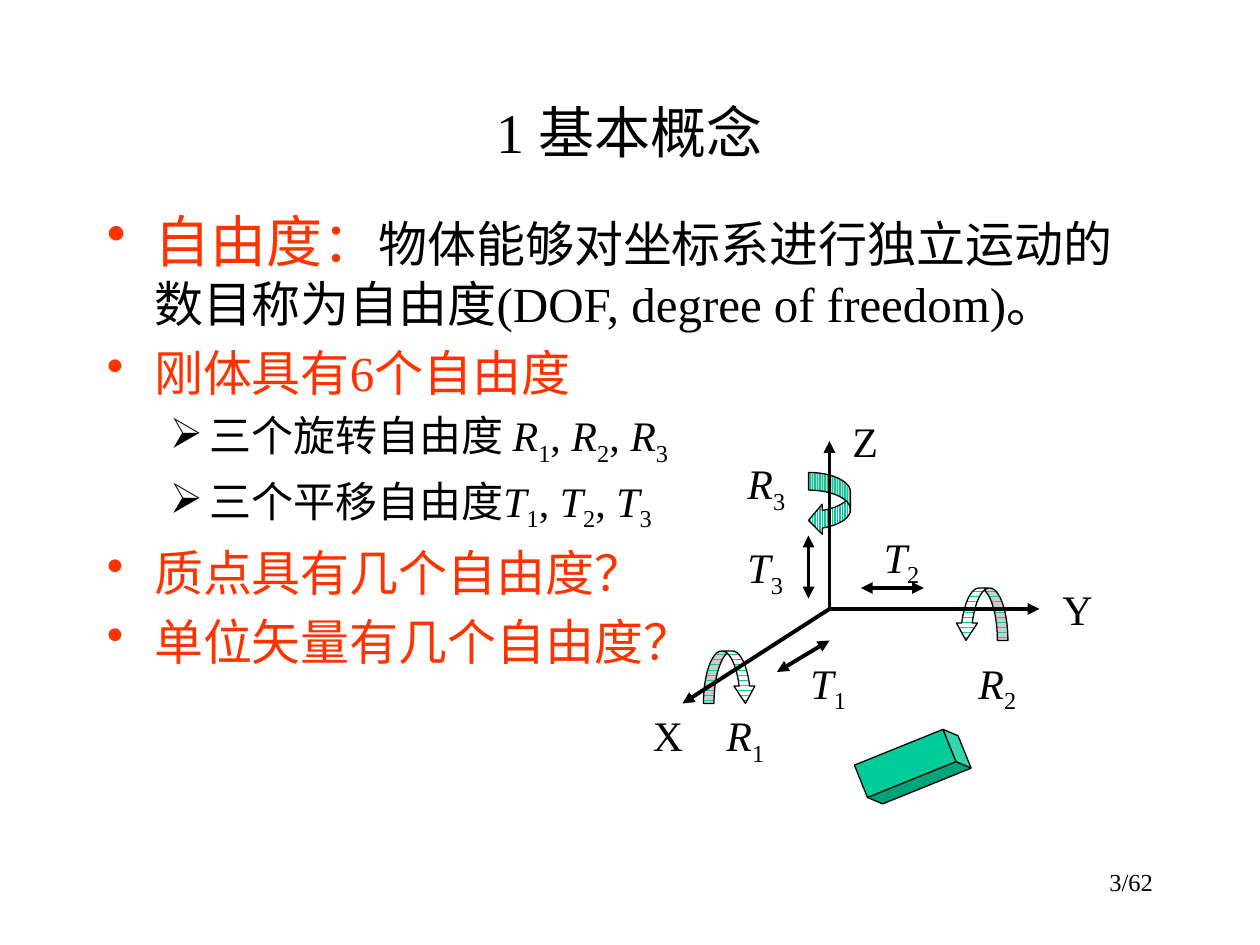
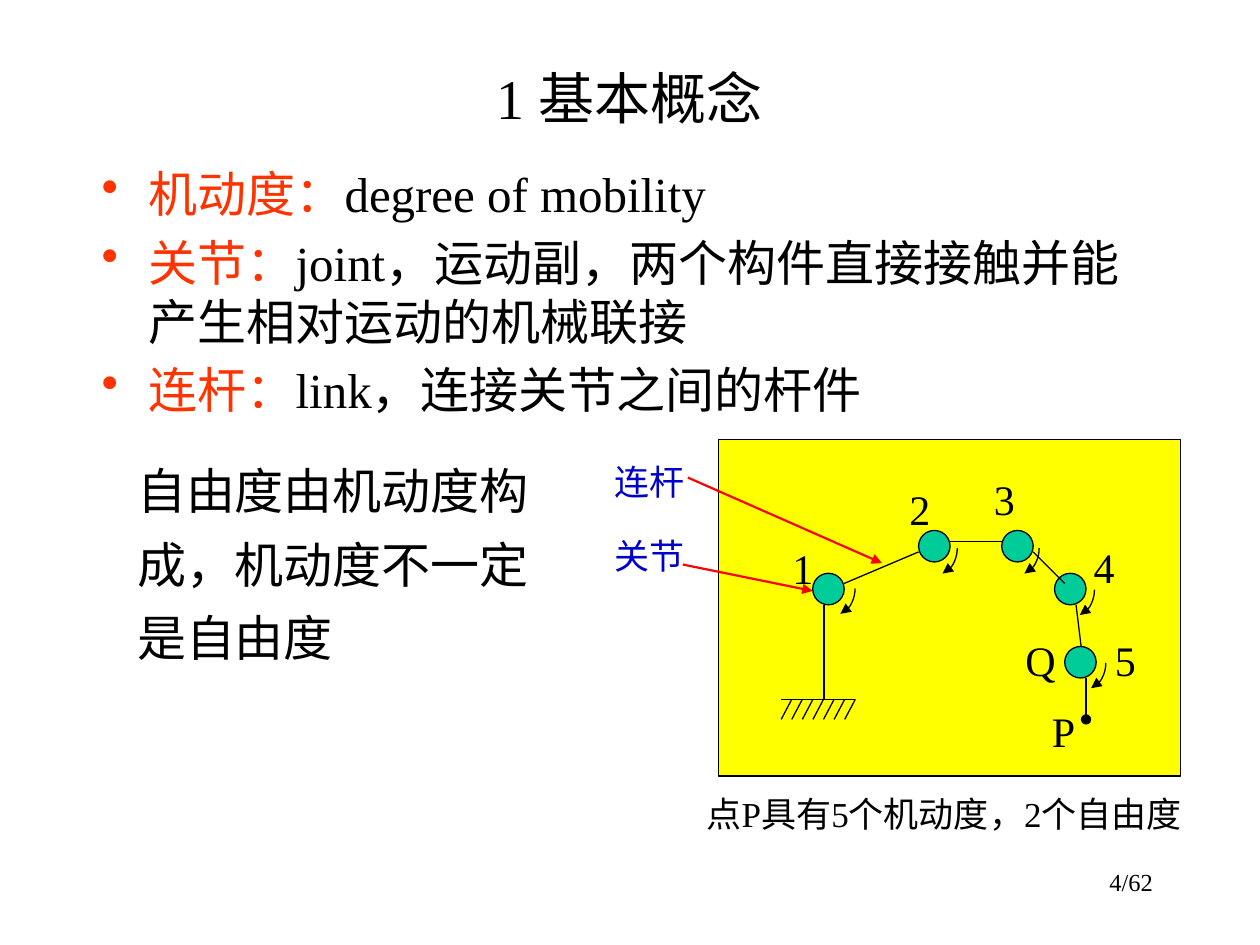
from pptx import Presentation
from pptx.dml.color import RGBColor
from pptx.enum.dml import MSO_PATTERN
from pptx.enum.shapes import MSO_CONNECTOR, MSO_SHAPE
from pptx.enum.text import MSO_ANCHOR, PP_ALIGN
from pptx.oxml.ns import qn
from pptx.util import Pt
from lxml import etree

FONT = "Times New Roman"
BLACK, WHITE, RED, BLUE = "000000", "FFFFFF", "FF3300", "0000CC"
GREEN, YELLOW, ARROW = "00CC99", "FFFF00", "FF0000"
LEFT, MID, RIGHT = PP_ALIGN.LEFT, PP_ALIGN.CENTER, PP_ALIGN.RIGHT
TOP, CENTER = MSO_ANCHOR.TOP, MSO_ANCHOR.MIDDLE
STRAIGHT = MSO_CONNECTOR.STRAIGHT
RECT, OVAL, ARC, CUBE = (MSO_SHAPE.RECTANGLE, MSO_SHAPE.OVAL,
                         MSO_SHAPE.ARC, MSO_SHAPE.CUBE)
TURN, BEND = MSO_SHAPE.CURVED_LEFT_ARROW, MSO_SHAPE.CURVED_DOWN_ARROW
VERT, HORZ = MSO_PATTERN.LIGHT_VERTICAL, MSO_PATTERN.DARK_HORIZONTAL
BULLETS = [("•", 27, -27), ("➢", 58.5, -22.5)]


def rgb(code):
    return RGBColor.from_string(code)


def add_runs(para, runs, size, color):
    for text, look in runs:
        run = para.add_run()
        run.text = text
        font = run.font
        font.name = FONT
        font.size = Pt(look.get("size", size))
        font.color.rgb = rgb(look.get("color", color))
        if look.get("italic"):
            font.italic = True
        if look.get("sub"):
            font._element.set("baseline", "-25000")


def plain(text, **look):
    return [(text, look)]


def symbol(name, index):
    return [(name, {"italic": True}), (str(index), {"sub": True})]


def series(name):
    comma = plain(", ")
    return symbol(name, 1) + comma + symbol(name, 2) + comma + symbol(name, 3)


def add_frame(slide, box, anchor=TOP):
    frame = slide.shapes.add_textbox(*map(Pt, box)).text_frame
    frame.word_wrap = True
    frame.vertical_anchor = anchor
    return frame


def add_text(slide, box, runs, size=24, color=BLACK, align=LEFT,
             anchor=TOP, space=None):
    para = add_frame(slide, box, anchor).paragraphs[0]
    para.alignment = align
    if space:
        para.line_spacing = space
    add_runs(para, runs, size, color)


def add_label(slide, x, y, runs, width=48):
    add_text(slide, (x, y, width, 36), runs)


def add_list(slide, box, items):
    frame = add_frame(slide, box)
    for i, (level, size, runs) in enumerate(items):
        para = frame.add_paragraph() if i else frame.paragraphs[0]
        para.level = level
        mark, margin, indent = BULLETS[level]
        props = para._p.get_or_add_pPr()
        props.set("marL", str(Pt(margin)))
        props.set("indent", str(Pt(indent)))
        if i:
            para.space_before = Pt(size * 0.2)
        etree.SubElement(props, qn("a:buChar")).set("char", mark)
        add_runs(para, runs, size, BLACK)


def add_ends(shape, head, tail):
    stroke = shape._element.spPr.find(qn("a:ln"))
    for tag, kind in (("a:headEnd", head), ("a:tailEnd", tail)):
        if kind:
            etree.SubElement(stroke, qn(tag)).set("type", kind)


def add_line(slide, start, end, width=0.75, color=BLACK, head=None, tail=None):
    line = slide.shapes.add_connector(STRAIGHT, *map(Pt, start + end))
    line.line.width = Pt(width)
    line.line.color.rgb = rgb(color)
    add_ends(line, head, tail)
    etree.SubElement(line._element.spPr, qn("a:effectLst"))


def add_shape(slide, kind, box, fill=None, pattern=None, adjust=()):
    shape = slide.shapes.add_shape(kind, *map(Pt, box))
    shape.shadow.inherit = False
    shape.line.color.rgb = rgb(BLACK)
    shape.line.width = Pt(0.75)
    if pattern:
        shape.fill.patterned()
        shape.fill.pattern = pattern
        shape.fill.fore_color.rgb = rgb(WHITE)
        shape.fill.back_color.rgb = rgb(fill)
    elif fill:
        shape.fill.solid()
        shape.fill.fore_color.rgb = rgb(fill)
    else:
        shape.fill.background()
    for i, value in enumerate(adjust):
        shape.adjustments[i] = value
    return shape


def add_slide(deck, number, top, height):
    slide = deck.slides.add_slide(deck.slide_layouts[6])
    add_text(slide, (54, top, 612, height), plain("1 基本概念"), 32,
             align=MID, anchor=CENTER)
    add_text(slide, (516, 492, 150, 36), plain(f"{number}/62"), 14, align=RIGHT)
    return slide


def draw_axes(slide):
    add_shape(slide, TURN, (462, 270, 24, 36), GREEN, VERT, (0.42, 0.72, 0.33))
    bend = (0.2, 0.4, 0.33)
    add_shape(slide, BEND, (402, 372, 30, 30), GREEN, HORZ, bend)
    back = add_shape(slide, BEND, (546, 336, 30, 30), GREEN, HORZ, bend)
    back._element.spPr.xfrm.set("flipH", "1")

    for end in ((474, 252), (594, 348), (390, 402)):
        add_line(slide, (474, 348), end, 2.25, tail="triangle")
    for start, end in (((474, 366), (444, 384)), ((492, 336), (528, 336)),
                       ((462, 342), (462, 306))):
        add_line(slide, start, end, 2.25, head="triangle", tail="triangle")

    for name, x, y in (("X", 366, 402), ("Y", 600, 330), ("Z", 480, 234)):
        add_label(slide, x, y, plain(name))
    spots = {"R": ((408, 402), (552, 372), (420, 258)),
             "T": ((456, 372), (498, 300), (420, 306))}
    for name, places in spots.items():
        for i, (x, y) in enumerate(places, 1):
            add_label(slide, x, y, symbol(name, i))

    cube = add_shape(slide, CUBE, (508.3, 407.5, 26.6, 61.2), GREEN)
    cube.rotation = 68


def draw_arm(slide):
    add_shape(slide, RECT, (410.4, 251.3, 264.2, 192.2), YELLOW)
    joints = [
        ((464.4, 327.6), (476.6, 321.1), (445.7, 306.7)),
        ((524.9, 303.1), (535, 298.1), (512.6, 272.9)),
        ((572.4, 303.1), (581.8, 298.1), (560.9, 267.1)),
        ((602.6, 327.6), (613.4, 321.8), (617.8, 306)),
        ((608.4, 369.4), (619.9, 363.6), (630, 359.3)),
    ]
    for i, (spot, (x, y), label) in enumerate(joints, 1):
        add_shape(slide, OVAL, (*spot, 18, 18), GREEN)
        arc = add_shape(slide, ARC, (x - 12, y, 24, 30.4), adjust=(-54, 45.6))
        add_ends(arc, None, "triangle")
        add_label(slide, *label, plain(str(i)), 30)

    floor, left, step = 399.6, 446.4, 6.05
    add_line(slide, (left, floor), (left + 7 * step, floor))
    for i in range(7):
        x = left + i * step
        add_line(slide, (x + step, floor), (x, floor + 11.5))

    for start, end in (((470.9, floor), (470.9, 345.6)),
                       ((482.4, 333.4), (524.9, 315.4)),
                       ((542.9, 309.6), (572.4, 309.6)),
                       ((590.4, 315.4), (608.4, 333.4)),
                       ((614.9, 345.6), (617.8, 369.4))):
        add_line(slide, start, end)
    add_line(slide, (620.6, 387.4), (620.6, 411.1), tail="oval")
    add_label(slide, 594, 399.6, plain("P"))
    add_label(slide, 578.9, 359.3, plain("Q"))

    for text, y, start, end in (
            ("连杆", 253.4, (393.1, 272.9), (504, 321.8)),
            ("关节", 295.9, (390.2, 322.6), (464.4, 337.7))):
        add_text(slide, (344.2, y, 57.6, 34.6), plain(text), 20, BLUE, space=1.25)
        add_line(slide, start, end, 1.25, ARROW, tail="triangle")


def main():
    deck = Presentation()
    deck.slide_width, deck.slide_height = Pt(720), Pt(540)

    slide = add_slide(deck, 3, 48, 54)
    add_list(slide, (54, 114.5, 612, 366), [
        (0, 28, plain("自由度：", size=32, color=RED)
         + plain("物体能够对坐标系进行独立运动的数目称为自由度"
                 "(DOF, degree of freedom)。")),
        (0, 28, plain("刚体具有6个自由度", color=RED)),
        (1, 24, plain("三个旋转自由度 ") + series("R")),
        (1, 24, plain("三个平移自由度") + series("T")),
        (0, 28, plain("质点具有几个自由度？", color=RED)),
        (0, 28, plain("单位矢量有几个自由度？", color=RED)),
    ])
    draw_axes(slide)

    slide = add_slide(deck, 4, 25.2, 60)
    terms = [("机动度：", "degree of mobility"),
             ("关节：", "joint，运动副，两个构件直接接触并能产生相对运动的机械联接"),
             ("连杆：", "link，连接关节之间的杆件")]
    add_list(slide, (51, 90, 612, 162),
             [(0, 28, plain(term, color=RED) + plain(text))
              for term, text in terms])
    draw_arm(slide)
    add_text(slide, (71.3, 251.3, 261.4, 130.3),
             plain("自由度由机动度构成，机动度不一定是自由度"), 28, space=1.25)
    add_text(slide, (393.1, 449.3, 293, 31.7),
             plain("点P具有5个机动度，2个自由度"), 20, align=MID)
    deck.save("out.pptx")


if __name__ == "__main__":
    main()
